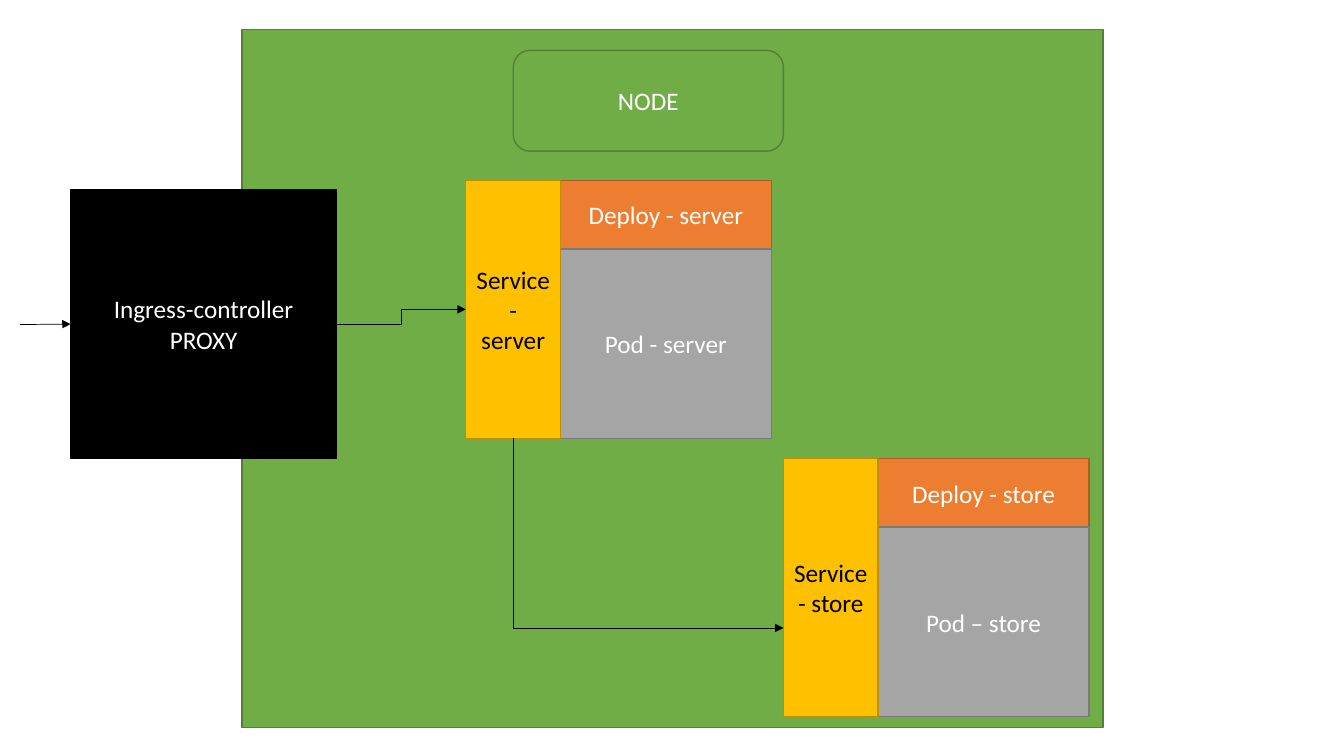
"""Draws a cluster node with an ingress controller and two services."""
from lxml import etree
from pptx import Presentation
from pptx.dml.color import RGBColor
from pptx.enum.shapes import MSO_CONNECTOR, MSO_SHAPE
from pptx.enum.text import MSO_ANCHOR, PP_ALIGN
from pptx.oxml.ns import qn
from pptx.util import Inches, Pt

RECT, ROUND = MSO_SHAPE.RECTANGLE, MSO_SHAPE.ROUNDED_RECTANGLE
STRAIGHT, ELBOW = MSO_CONNECTOR.STRAIGHT, MSO_CONNECTOR.ELBOW
CENTER, MIDDLE = PP_ALIGN.CENTER, MSO_ANCHOR.MIDDLE
COLORS = {
    "green": "70AD47", "green_line": "538035",
    "orange": "ED7D31", "orange_line": "AF5C24",
    "gray": "A5A5A5", "gray_line": "7A7A7A",
    "yellow": "FFC000", "yellow_line": "BD8E00",
    "black": "000000", "black_line": "000000", "white": "FFFFFF",
}


def add_box(text, x, y, w, h, fill, kind=RECT, color="white", size=18, font="Calibri"):
    s = slide.shapes.add_shape(kind, Inches(x), Inches(y), Inches(w), Inches(h))
    s.shadow.inherit = False
    s.fill.solid()
    s.fill.fore_color.rgb = RGBColor.from_string(COLORS[fill])
    s.line.color.rgb = RGBColor.from_string(COLORS[fill + "_line"])
    s.line.width = Pt(1)
    tf = s.text_frame
    tf.word_wrap = True
    tf.vertical_anchor = MIDDLE
    for i, line in enumerate(text.split("\n") if text else []):
        p = tf.add_paragraph() if i else tf.paragraphs[0]
        p.alignment = CENTER
        r = p.add_run()
        r.text = line
        r.font.size = Pt(size)
        r.font.name = font
        r.font.color.rgb = RGBColor.from_string(COLORS[color])
    return s


def add_arrow(kind, x1, y1, x2, y2):
    c = slide.shapes.add_connector(kind, Inches(x1), Inches(y1), Inches(x2), Inches(y2))
    c.line.color.rgb = RGBColor.from_string(COLORS["black"])
    c.line.width = Pt(0.5)
    etree.SubElement(c.line._get_or_add_ln(), qn("a:tailEnd"), type="triangle")
    etree.SubElement(c._element.spPr, qn("a:effectLst"))
    return c


prs = Presentation()
prs.slide_width, prs.slide_height = Inches(13.33), Inches(7.5)
slide = prs.slides.add_slide(prs.slide_layouts[6])

add_box("", 2.4, 0.29, 8.54, 6.93, "green")
ingress = add_box("Ingress-controller\nPROXY", 0.7, 1.88, 2.64, 2.67, "black")
add_box("NODE", 5.09, 0.5, 2.68, 1, "green", kind=ROUND)

service_w, deploy_w, deploy_h, pod_h = 0.94, 2.09, 0.68, 1.88
services = {}
for name, dash, x, y in [("server", "-", 4.62, 1.79), ("store", "–", 7.77, 4.55)]:
    add_box(f"Deploy - {name}", x + service_w, y, deploy_w, deploy_h, "orange")
    add_box(f"Pod {dash} {name}", x + service_w, y + deploy_h, deploy_w, pod_h, "gray")
    services[name] = add_box(f"Service- {name}", x, y, service_w, deploy_h + pod_h,
                             "yellow", color="black")

down = add_arrow(ELBOW, 7.37, 3.95, 5.49, 6.63)
down._element.spPr.prstGeom.set("prst", "bentConnector2")
down._element.spPr.xfrm.set("rot", str(270 * 60000))

across = add_arrow(ELBOW, 3.34, 3.22, 4.62, 3.07)
across.begin_connect(ingress, 3)
across.end_connect(services["server"], 1)

entry = add_arrow(STRAIGHT, 0.2, 3.22, 0.7, 3.22)
entry.end_connect(ingress, 1)

prs.save("out.pptx")
